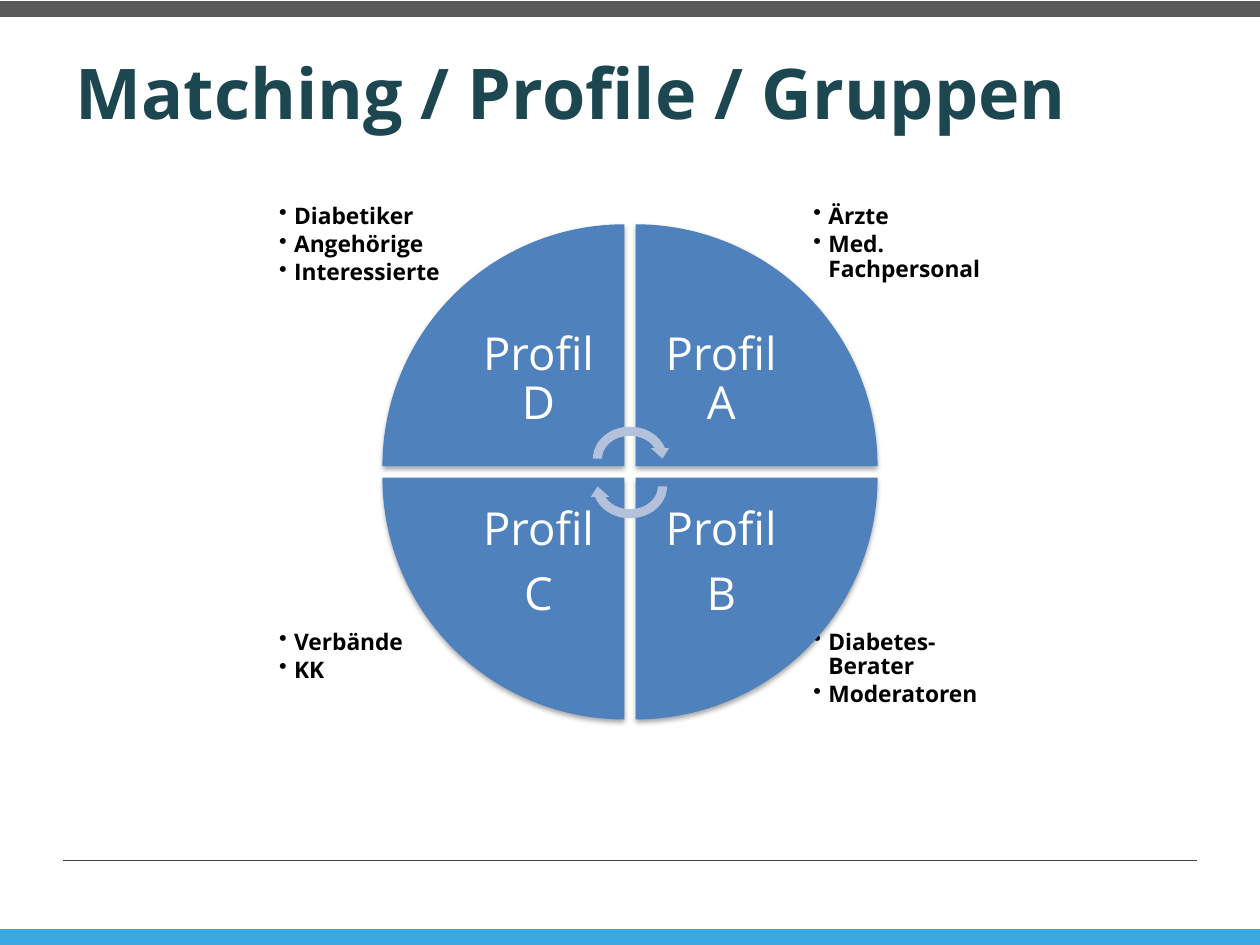
"""Build a slide with four profile quadrants and their group members."""
from dataclasses import dataclass

from lxml import etree
from pptx import Presentation
from pptx import util as u
from pptx.dml.color import RGBColor
from pptx.enum import shapes, text
from pptx.oxml.ns import qn

WHITE = RGBColor(0xFF, 0xFF, 0xFF)
BLACK = RGBColor(0, 0, 0)
TEAL = RGBColor(0x1D, 0x47, 0x50)
GREY = RGBColor(0x59, 0x59, 0x59)
DARK = RGBColor(0x40, 0x40, 0x40)
SKY = RGBColor(0x3A, 0xA9, 0xE0)
BLUE = RGBColor(0x4F, 0x81, 0xBD)
PALE = RGBColor(0xB3, 0xC1, 0xDB)
FONT = "Open Sans"
COLS, ROWS = 100, 75
CELL = u.Inches(0.1)
MID_X, MID_Y = 50, 37.45
KIND = shapes.MSO_SHAPE


@dataclass(frozen=True)
class Box:
    x: float
    y: float
    w: float
    h: float

    def emu(self) -> list[int]:
        return [round(n * CELL) for n in (self.x, self.y, self.w, self.h)]


@dataclass(frozen=True)
class Quadrant:
    right: bool
    below: bool
    rotation: int
    label: str
    members: str

    def box(self, dx: float, dy: float, w: float, h: float) -> Box:
        """Place a box at a distance from the centre, inside this quadrant."""
        x = MID_X + dx if self.right else MID_X - dx - w
        y = MID_Y + dy if self.below else MID_Y - dy - h
        return Box(x, y, w, h)


QUADRANTS = [
    Quadrant(False, False, 0, "Profil D", "Diabetiker\nAngehörige\nInteressierte"),
    Quadrant(True, False, 90, "Profil A", "Ärzte\nMed. Fachpersonal"),
    Quadrant(True, True, 180, "Profil\nB", "Diabetes-Berater\nModeratoren"),
    Quadrant(False, True, 270, "Profil\nC", "Verbände\nKK"),
]


def add_shape(s, kind, box: Box, fill: RGBColor, rotation: int = 0):
    """Add a filled shape without outline or shadow."""
    sp = s.shapes.add_shape(kind, *box.emu())
    sp.shadow.inherit = False
    sp.fill.solid()
    sp.fill.fore_color.rgb = fill
    sp.line.fill.background()
    sp.rotation = rotation
    return sp


def add_bar(s, y: float, color: RGBColor) -> None:
    """Add a full-width bar."""
    sp = add_shape(s, KIND.RECTANGLE, Box(0, y, COLS, 1.2), color)
    sp.line.color.rgb = color
    sp.line.width = u.Pt(0.75)


def style_run(r, size: float, color: RGBColor, bold: bool) -> None:
    """Format one run."""
    r.font.name, r.font.size, r.font.bold = FONT, u.Pt(size), bold
    r.font.color.rgb = color


def add_text(s, box: Box, words: str, size: float, color: RGBColor,
             inset: float, after: float, bold: bool = False):
    """Add a wrapped text box and return its text frame."""
    tf = s.shapes.add_textbox(*box.emu()).text_frame
    tf.text = words
    tf.word_wrap = True
    tf.margin_left = tf.margin_right = u.Inches(inset)
    tf.margin_top = tf.margin_bottom = u.Inches(inset)
    for p in tf.paragraphs:
        p.line_spacing = 0.9
        p.space_after = u.Pt(size * after)
        style_run(p.runs[0], size, color, bold)
    return tf


def add_members(s, q: Quadrant) -> None:
    """Add the card and bulleted group list of a quadrant."""
    card = add_shape(s, KIND.ROUNDED_RECTANGLE, q.box(6.9, 8, 22, 14.2), WHITE)
    card.adjustments[0] = 0.1
    color = card.fill._xPr.find(".//" + qn("a:srgbClr"))
    etree.SubElement(color, qn("a:alpha"), val="90000")
    tf = add_text(s, q.box(13.85, 11.9, 14.7, 10), q.members, 13, BLACK, 0.07, 0.15, True)
    for p in tf.paragraphs:
        p.level = 1
        pPr = p._p.get_or_add_pPr()
        pPr.set("marL", str(u.Inches(0.12)))
        pPr.set("indent", str(-u.Inches(0.12)))
        etree.SubElement(pPr, qn("a:buChar"), char="•")


def add_wedge(s, q: Quadrant) -> None:
    """Add the quarter disc of a quadrant with its soft shadow and label."""
    sp = add_shape(s, KIND.PIE_WEDGE, q.box(0.45, 0.45, 19.2, 19.2), BLUE, q.rotation)
    effects = sp._element.spPr.find(qn("a:effectLst"))
    shadow = etree.SubElement(effects, qn("a:outerShdw"), blurRad=str(u.Pt(3.1)),
                              dist=str(u.Pt(1.8)), dir="5400000", rotWithShape="0")
    color = etree.SubElement(shadow, qn("a:srgbClr"), val="000000")
    etree.SubElement(color, qn("a:alpha"), val="35000")
    tf = add_text(s, q.box(0.45, 0.45, 13.6, 13.6), q.label, 26, WHITE, 0.2, 0.35)
    tf.vertical_anchor = text.MSO_ANCHOR.MIDDLE
    for p in tf.paragraphs:
        p.alignment = text.PP_ALIGN.CENTER


def add_title(s, words: str) -> None:
    """Place and format the title placeholder."""
    sp = s.shapes.title
    sp.left, sp.top, sp.width, sp.height = Box(5, 3.1, 90, 8.3).emu()
    tf = sp.text_frame
    tf.text = words
    tf.vertical_anchor = text.MSO_ANCHOR.MIDDLE
    p = tf.paragraphs[0]
    p.alignment = text.PP_ALIGN.LEFT
    style_run(p.runs[0], 40, TEAL, True)


def add_rule(s, y: float) -> None:
    """Add the thin footer line."""
    ends = Box(5, y, COLS - 5, y).emu()
    line = s.shapes.add_connector(shapes.MSO_CONNECTOR.STRAIGHT, *ends)
    line.line.color.rgb = DARK
    line.line.width = u.Pt(0.25)
    etree.SubElement(line._element.spPr, qn("a:effectLst"))


def main() -> None:
    """Assemble and save the slide."""
    prs = Presentation()
    prs.slide_width, prs.slide_height = COLS * CELL, ROWS * CELL
    s = prs.slides.add_slide(prs.slide_layouts[5])
    add_title(s, "Matching / Profile / Gruppen")
    add_bar(s, 0.1, GREY)
    add_bar(s, ROWS - 1.2, SKY)
    add_rule(s, 68.3)
    for q in QUADRANTS:
        add_members(s, q)
    for q in QUADRANTS:
        add_wedge(s, q)
    for y, rotation in ((33.5, 0), (35.7, 180)):
        add_shape(s, KIND.CIRCULAR_ARROW, Box(MID_X - 3.3, y, 6.6, 5.8), PALE, rotation)
    prs.save("out.pptx")


if __name__ == "__main__":
    main()
